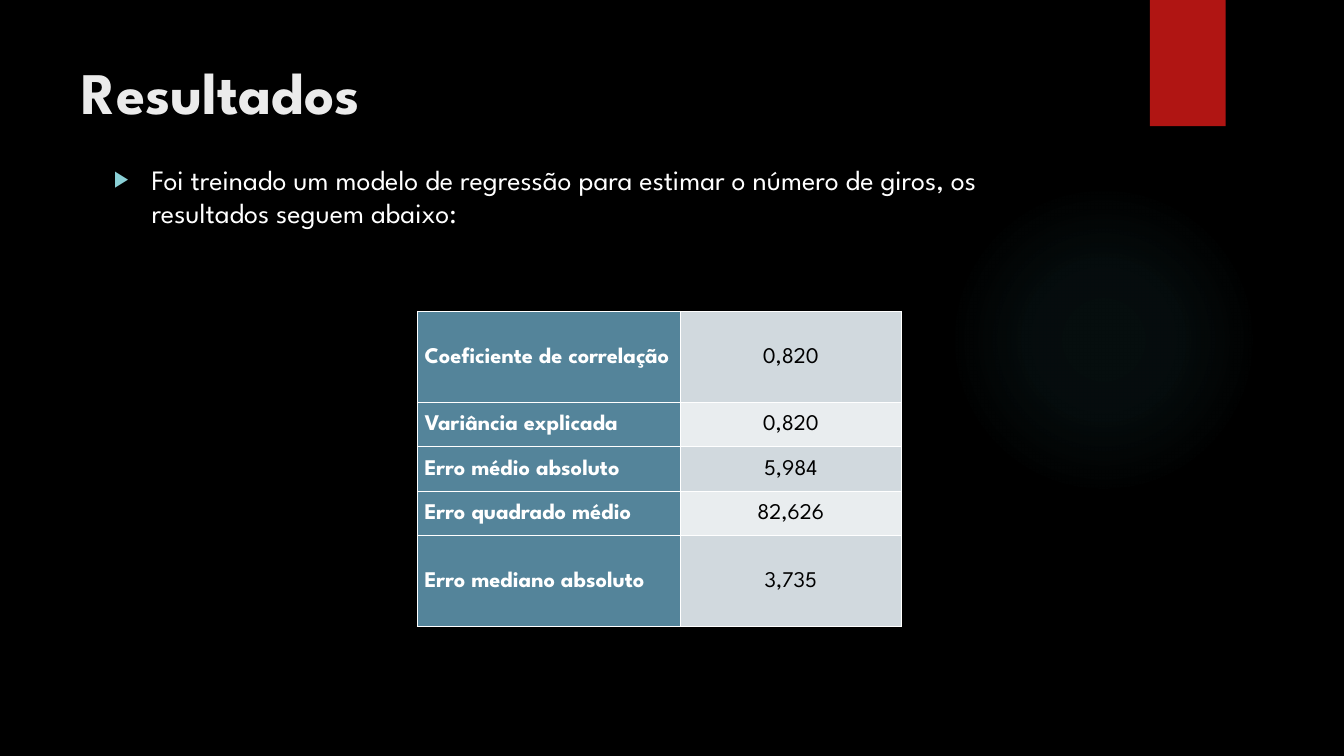
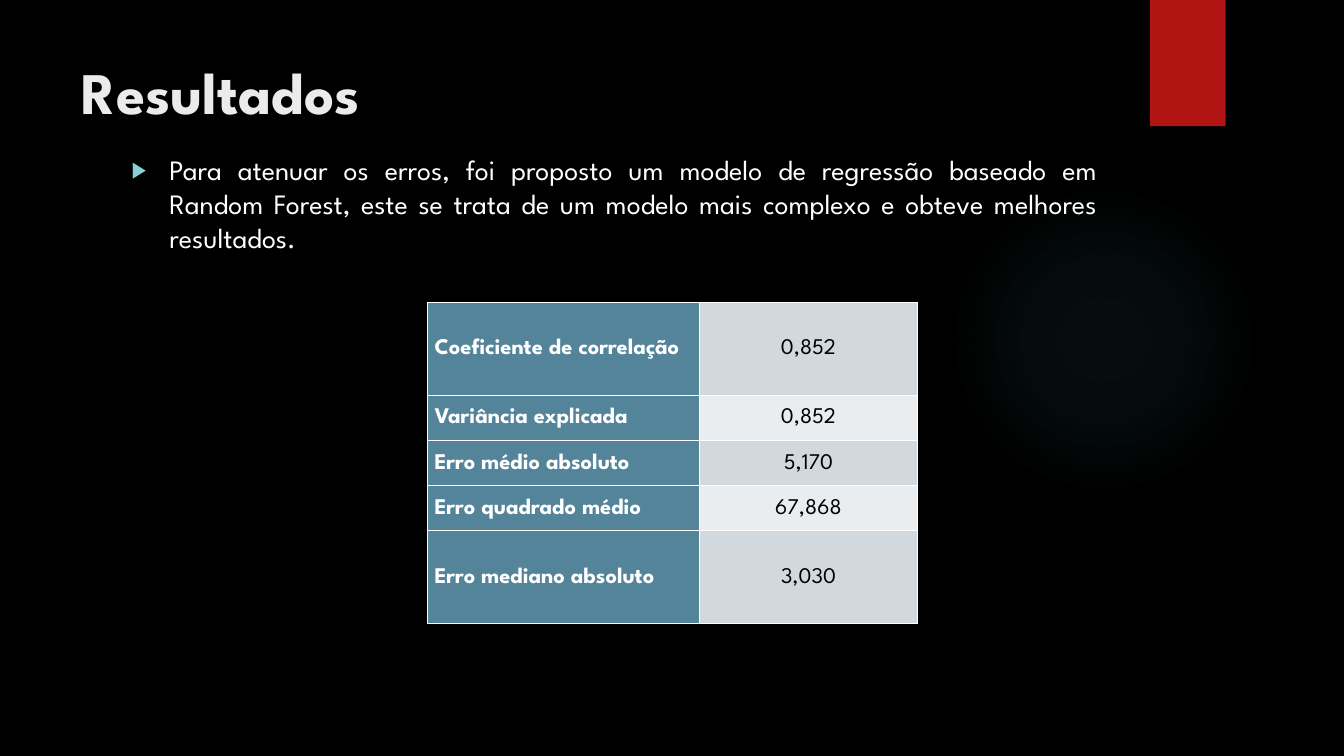
"""Build two result slides, each with a statement and a table of regression metrics."""
import dataclasses

import lxml.etree
import pptx
import pptx.dml.color
import pptx.enum.shapes
import pptx.enum.text
import pptx.oxml
import pptx.oxml.ns
import pptx.util

Cm = pptx.util.Cm
Pt = pptx.util.Pt
ALIGN = pptx.enum.text.PP_ALIGN
SHAPE = pptx.enum.shapes.MSO_SHAPE


@dataclasses.dataclass(frozen=True)
class Theme:
    font: str = "League Spartan"
    background: str = "000000"
    title: str = "EBEBEB"
    body: str = "FFFFFF"
    bullet: str = "8AD0D6"
    ribbon: str = "B01513"
    glow: str = "50B9C1"
    label_fill: str = "54849A"
    value_fills: tuple = ("D1D9DE", "E9EDEF")
    value: str = "000000"
    border: str = "FFFFFF"
    title_size: int = 42
    body_size: int = 20
    table_size: int = 16


theme = Theme()
rgb = pptx.dml.color.RGBColor.from_string
namespace = pptx.oxml.ns.nsdecls("a")


def add_run(paragraph, text, size, color, bold=False):
    run = paragraph.add_run()
    run.text = text
    run.font.name = theme.font
    run.font.size = Pt(size)
    run.font.bold = bold
    run.font.color.rgb = rgb(color)


def add_text_box(slide, box):
    frame = slide.shapes.add_textbox(*map(Cm, box)).text_frame
    frame.word_wrap = True
    frame.vertical_anchor = pptx.enum.text.MSO_ANCHOR.TOP
    return frame.paragraphs[0]


glow_stops = "".join(
    f'<a:gs pos="{position * 1000}"><a:srgbClr val="{theme.glow}">'
    f'<a:alpha val="{alpha * 1000}"/></a:srgbClr></a:gs>'
    for position, alpha in ((0, 7), (36, 6), (69, 0), (100, 0))
)
glow_xml = (
    f'<a:gradFill {namespace} rotWithShape="1"><a:gsLst>{glow_stops}</a:gsLst>'
    '<a:path path="circle"><a:fillToRect l="50000" t="50000" r="50000" b="50000"/>'
    "</a:path></a:gradFill>"
)
bullet_xml = (
    f'<a:buClr {namespace}><a:srgbClr val="{theme.bullet}"/></a:buClr>',
    f'<a:buSzPct {namespace} val="80000"/>',
    f'<a:buFont {namespace} typeface="Arial"/>',
    f'<a:buChar {namespace} char="▶"/>',
)
metrics = (
    "Coeficiente de correlação",
    "Variância explicada",
    "Erro médio absoluto",
    "Erro quadrado médio",
    "Erro mediano absoluto",
)
results = (
    {
        "statement": "Foi treinado um modelo de regressão para estimar o número de giros, "
        "os resultados seguem abaixo:",
        "align": ALIGN.LEFT,
        "body": (2.62, 3.96, 25.3, 13.41),
        "table": (10.52, 7.85),
        "columns": (6.63, 5.56),
        "rows": (2.29, 1.12, 1.12, 1.12, 2.29),
        "values": ("0,820", "0,820", "5,984", "82,626", "3,735"),
    },
    {
        "statement": "Para atenuar os erros, foi proposto um modelo de regressão baseado em "
        "Random Forest, este se trata de um modelo mais complexo e obteve melhores resultados.",
        "align": ALIGN.JUSTIFY,
        "body": (3.07, 3.73, 24.84, 13.61),
        "table": (10.77, 7.62),
        "columns": (6.86, 5.49),
        "rows": (2.34, 1.14, 1.14, 1.14, 2.34),
        "values": ("0,852", "0,852", "5,170", "67,868", "3,030"),
    },
)

presentation = pptx.Presentation()
presentation.slide_width = Cm(33.87)
presentation.slide_height = Cm(19.05)

for result in results:
    slide = presentation.slides.add_slide(presentation.slide_layouts[6])
    slide.background.fill.solid()
    slide.background.fill.fore_color.rgb = rgb(theme.background)

    glow = slide.shapes.add_shape(SHAPE.OVAL, Cm(23.9), Cm(4.65), Cm(7.82), Cm(7.82))
    glow.fill.background()
    no_fill = glow.element.spPr.find(pptx.oxml.ns.qn("a:noFill"))
    glow.element.spPr.replace(no_fill, pptx.oxml.parse_xml(glow_xml))
    ribbon = slide.shapes.add_shape(SHAPE.RECTANGLE, Cm(28.98), Cm(0), Cm(1.91), Cm(3.18))
    ribbon.fill.solid()
    ribbon.fill.fore_color.rgb = rgb(theme.ribbon)
    for shape in (glow, ribbon):
        shape.line.fill.background()
        shape.shadow.inherit = False

    title = add_text_box(slide, (1.8, 1.27, 26.14, 3.89))
    add_run(title, "Resultados", theme.title_size, theme.title, bold=True)

    statement = add_text_box(slide, result["body"])
    statement.alignment = result["align"]
    statement.space_before = Pt(10)
    add_run(statement, result["statement"], theme.body_size, theme.body)
    properties = statement._p.get_or_add_pPr()
    properties.set("marL", str(Cm(0.95)))
    properties.set("indent", str(-Cm(0.95)))
    for bullet_part in bullet_xml:
        properties.append(pptx.oxml.parse_xml(bullet_part))

    table = slide.shapes.add_table(
        len(metrics), 2, *map(Cm, result["table"]),
        Cm(sum(result["columns"])), Cm(sum(result["rows"])),
    ).table
    table.first_row = False
    table.horz_banding = False
    for column, width in zip(table.columns, result["columns"]):
        column.width = Cm(width)
    for index, (metric, value) in enumerate(zip(metrics, result["values"])):
        table.rows[index].height = Cm(result["rows"][index])
        row_cells = (
            (metric, theme.label_fill, theme.body, True, ALIGN.LEFT),
            (value, theme.value_fills[index % 2], theme.value, False, ALIGN.CENTER),
        )
        for column_index, (text, fill, color, bold, align) in enumerate(row_cells):
            cell = table.cell(index, column_index)
            cell.vertical_anchor = pptx.enum.text.MSO_ANCHOR.MIDDLE
            cell.margin_left = cell.margin_right = Cm(0.18)
            cell.margin_top = cell.margin_bottom = Cm(0)
            for side in ("lnL", "lnR", "lnT", "lnB"):
                cell._tc.get_or_add_tcPr().append(pptx.oxml.parse_xml(
                    f'<a:{side} {namespace} w="{Pt(1)}"><a:solidFill>'
                    f'<a:srgbClr val="{theme.border}"/></a:solidFill></a:{side}>'
                ))
            cell.fill.solid()
            cell.fill.fore_color.rgb = rgb(fill)
            paragraph = cell.text_frame.paragraphs[0]
            paragraph.alignment = align
            paragraph.line_spacing = 1.07
            paragraph.space_before = Pt(6)
            paragraph.space_after = Pt(8)
            add_run(paragraph, text, theme.table_size, color, bold)

presentation.save("out.pptx")
